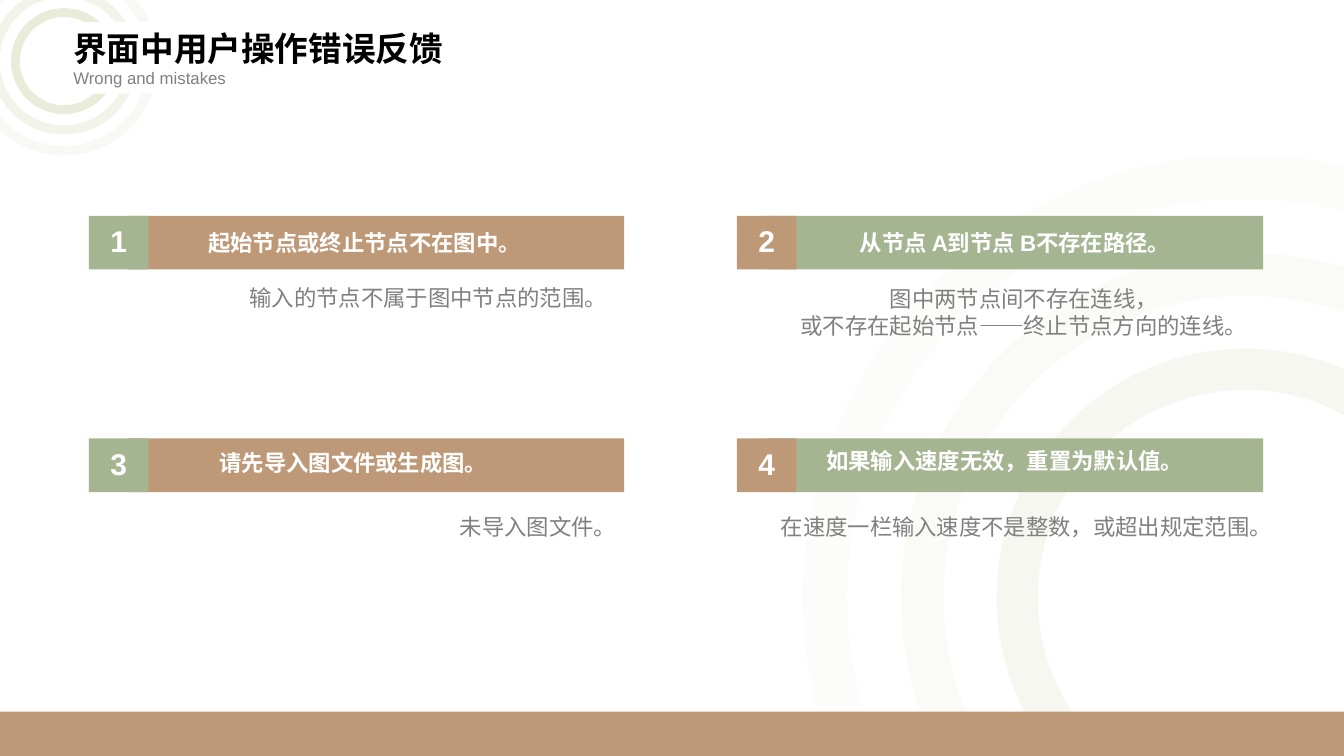
"""Builds a slide on error feedback for user actions in an interface."""
from dataclasses import dataclass

from lxml import etree
from pptx import Presentation
from pptx.dml.color import RGBColor
from pptx.enum.shapes import MSO_SHAPE
from pptx.enum.text import MSO_ANCHOR, PP_ALIGN
from pptx.oxml.ns import qn
from pptx.util import Cm, Pt

RECT, ROUNDED, DONUT = MSO_SHAPE.RECTANGLE, MSO_SHAPE.ROUNDED_RECTANGLE, MSO_SHAPE.DONUT
LEFT, CENTER, RIGHT = PP_ALIGN.LEFT, PP_ALIGN.CENTER, PP_ALIGN.RIGHT
TOP, MIDDLE = MSO_ANCHOR.TOP, MSO_ANCHOR.MIDDLE
FONT = "Arial"
BROWN, GREEN, PALE = "BD9977", "A5B592", "DFE5CA"
WHITE, BLACK, GRAY = "FFFFFF", "000000", "808080"
SLIDE_W, SLIDE_H = 33.87, 19.05
ROW_TOP, ROW_PITCH = 5.44, 5.61
BADGE_LEFTS, BAR_LEFTS = (2.24, 18.57), (3.23, 19.33)
BAR_W, BADGE_W, BAR_H = 12.5, 1.5, 1.35
LINE_H = 0.94
RING_DIAMETERS = (22.3, 17.35, 12.53)
RING_THICKNESS = (0.05, 0.062, 0.083)


@dataclass
class Box:
    left: float
    top: float
    width: float
    height: float = LINE_H


@dataclass
class Line:
    text: str
    size: float
    color: str
    bold: bool = False


@dataclass
class Rings:
    center_x: float
    center_y: float
    scale: float
    opacities: tuple[int, ...]


@dataclass
class Card:
    number: int
    row: int
    column: int
    heading: str
    heading_box: Box
    details: list[str]
    details_box: Box
    details_align: PP_ALIGN = RIGHT


CORNER_RINGS = Rings(1.61, 1.54, 0.213, (20, 40, 70))
SIDE_RINGS = Rings(31.38, 15.05, 1, (8, 14, 27))
CARDS = [
    Card(1, 0, 0, "起始节点或终止节点不在图中。", Box(4.72, 5.66, 8.38),
         ["输入的节点不属于图中节点的范围。"], Box(3.89, 7.04, 11.66)),
    Card(3, 1, 0, "请先导入图文件或生成图。", Box(4.72, 11.2, 8.38),
         ["未导入图文件。"], Box(3.89, 12.8, 11.89)),
    Card(2, 0, 1, "从节点 A到节点 B不存在路径。", Box(21.39, 5.66, 8.38),
         ["图中两节点间不存在连线，", "或不存在起始节点——终止节点方向的连线。"],
         Box(19.86, 7.06, 11.89, 2.84), CENTER),
    Card(4, 1, 1, "如果输入速度无效，重置为默认值。", Box(20.12, 11.15, 10.41),
         ["在速度一栏输入速度不是整数，或超出规定范围。"], Box(18.92, 12.8, 12.83)),
]


def rgb(color: str) -> RGBColor:
    """Turn a hex string into a colour."""
    return RGBColor.from_string(color)


def place(box: Box) -> tuple[Cm, ...]:
    """Give the four lengths of a box."""
    return Cm(box.left), Cm(box.top), Cm(box.width), Cm(box.height)


def add_block(slide, kind: MSO_SHAPE, box: Box, color: str, adjustment: float | None = None):
    """Draw a flat shape without outline or shadow."""
    block = slide.shapes.add_shape(kind, *place(box))
    block.shadow.inherit = False
    block.fill.solid()
    block.fill.fore_color.rgb = rgb(color)
    block.line.fill.background()
    if adjustment is not None:
        block.adjustments[0] = adjustment
    return block


def write(holder, lines: list[Line], align: PP_ALIGN, anchor: MSO_ANCHOR = TOP) -> None:
    """Fill a shape with one paragraph per line."""
    frame = holder.text_frame
    frame.word_wrap = True
    frame.vertical_anchor = anchor
    for index, line in enumerate(lines):
        paragraph = frame.add_paragraph() if index else frame.paragraphs[0]
        paragraph.alignment = align
        run = paragraph.add_run()
        run.text = line.text
        run.font.name = FONT
        run.font.size = Pt(line.size)
        run.font.bold = line.bold
        run.font.color.rgb = rgb(line.color)


def add_text(slide, box: Box, lines: list[Line], align: PP_ALIGN) -> None:
    """Place a text box."""
    write(slide.shapes.add_textbox(*place(box)), lines, align)


def add_rings(slide, rings: Rings) -> None:
    """Draw translucent concentric rings."""
    for full, thickness, opacity in zip(RING_DIAMETERS, RING_THICKNESS, rings.opacities):
        size = full * rings.scale
        box = Box(rings.center_x - size / 2, rings.center_y - size / 2, size, size)
        ring = add_block(slide, DONUT, box, PALE, thickness)
        color = ring.element.spPr.find(qn("a:solidFill")).find(qn("a:srgbClr"))
        etree.SubElement(color, qn("a:alpha"), val=str(opacity * 1000))


def add_card(slide, card: Card) -> None:
    """Draw a numbered bar with its heading and details."""
    top = ROW_TOP + card.row * ROW_PITCH
    badge_left = BADGE_LEFTS[card.column]
    bar_color, badge_color = (GREEN, BROWN) if card.column else (BROWN, GREEN)
    add_block(slide, ROUNDED, Box(BAR_LEFTS[card.column], top, BAR_W, BAR_H), bar_color, 0)
    details = [Line(text, 16, GRAY) for text in card.details]
    add_text(slide, card.details_box, details, card.details_align)
    add_text(slide, card.heading_box, [Line(card.heading, 16, WHITE, True)], CENTER)
    add_block(slide, RECT, Box(badge_left, top, BADGE_W, BAR_H), badge_color)
    number_box = Box(badge_left + 0.1, top + 0.05, BADGE_W - 0.2, 1.17)
    add_text(slide, number_box, [Line(str(card.number), 21.4, WHITE, True)], CENTER)


def main() -> None:
    """Build and save the slide."""
    deck = Presentation()
    deck.slide_width, deck.slide_height = Cm(SLIDE_W), Cm(SLIDE_H)
    slide = deck.slides.add_slide(deck.slide_layouts[6])
    add_rings(slide, CORNER_RINGS)
    title = add_block(slide, RECT, Box(1.6, 0.56, 11.91, 1.8), WHITE)
    title_lines = [Line("界面中用户操作错误反馈", 24, BLACK, True),
                   Line("Wrong and mistakes", 12, GRAY)]
    write(title, title_lines, LEFT, MIDDLE)
    add_rings(slide, SIDE_RINGS)
    add_block(slide, RECT, Box(0, 17.93, SLIDE_W, 1.12), BROWN)
    for card in CARDS:
        add_card(slide, card)
    deck.save("out.pptx")


if __name__ == "__main__":
    main()
